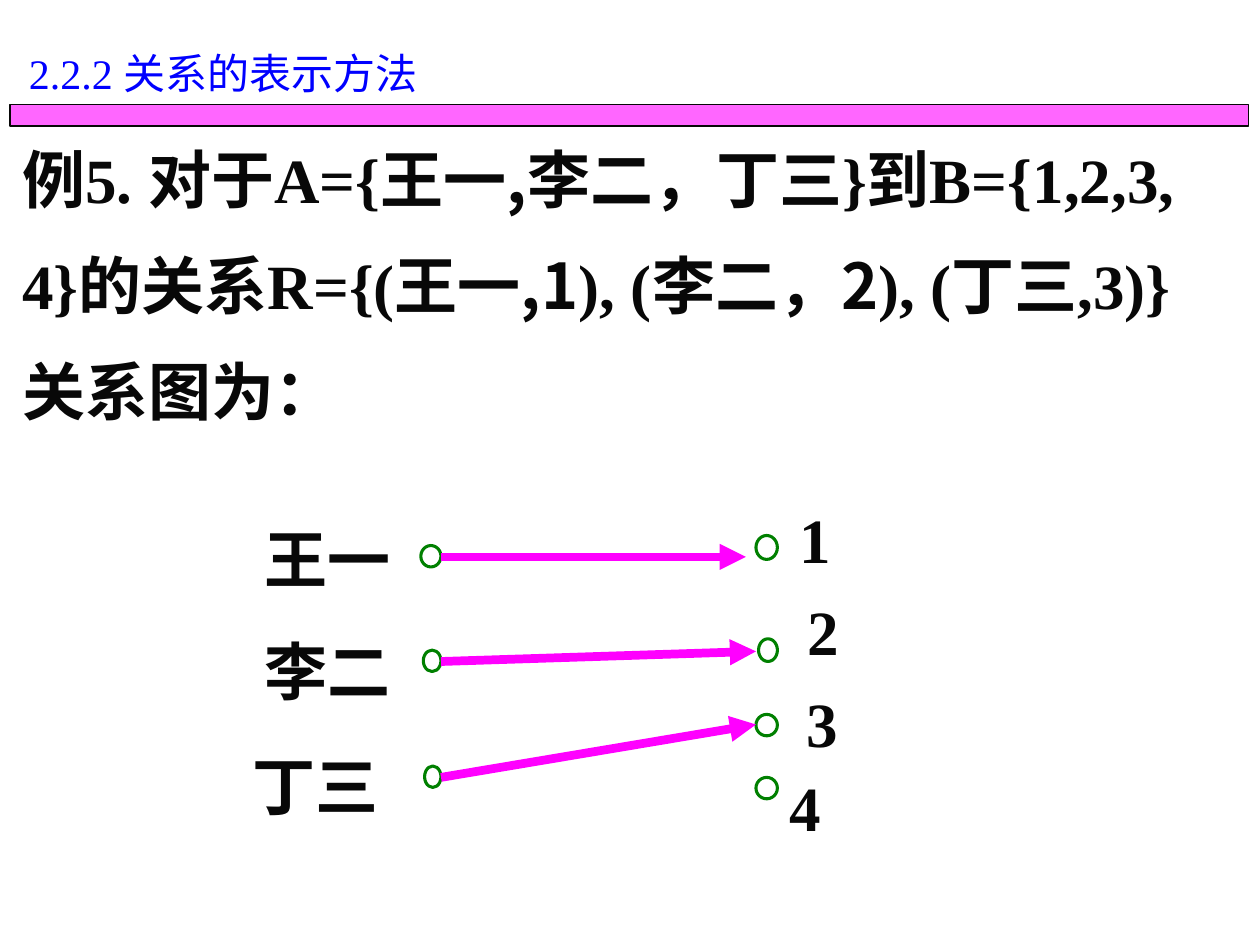
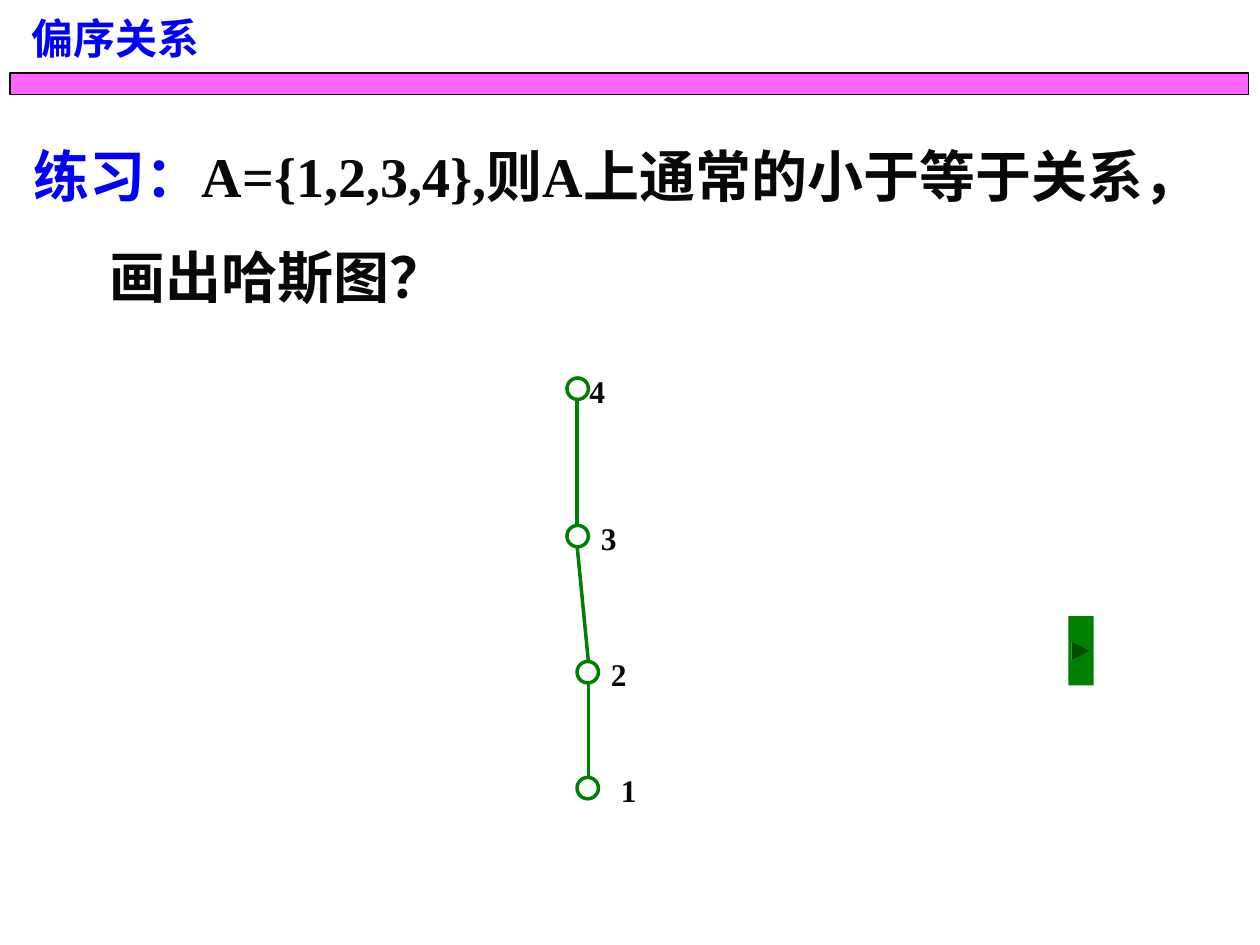
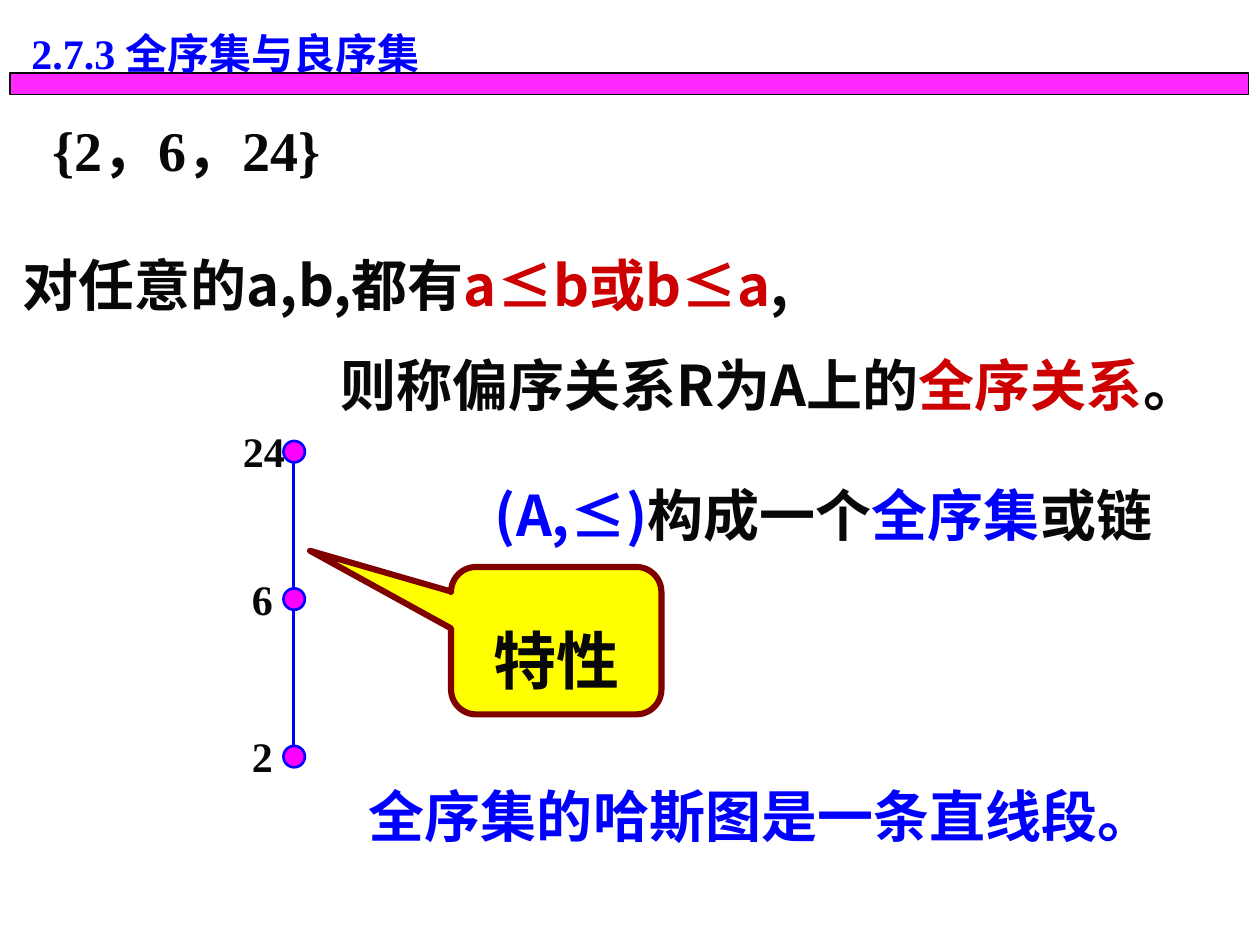
import pptx
import pptx.dml.color
import pptx.enum.shapes
import pptx.enum.text
import pptx.oxml
import pptx.oxml.ns
import pptx.util
from pptx.util import Inches

COLORS = {
    "ink": "080808",
    "blue": "0000FF",
    "magenta": "FF00FF",
    "green": "008000",
    "red": "CC0000",
    "yellow": "FFFF00",
    "maroon": "800000",
}
SANS = "Noto Sans CJK SC"
SANS_JP = "Noto Sans CJK JP"
SERIF = "Times New Roman"
ARIAL = "Arial"
PRESET = pptx.enum.shapes.MSO_SHAPE


def write_text(slide, box, text, size=36, font=SERIF, color="ink", bold=True,
               spacing=None, indents=(0,), align=None, shape=None):
    if shape is None:
        shape = slide.shapes.add_textbox(*[Inches(value) for value in box])
    frame = shape.text_frame
    frame.word_wrap = True
    paragraphs = [[(text, {})]] if isinstance(text, str) else text
    for index, runs in enumerate(paragraphs):
        paragraph = frame.paragraphs[0] if index == 0 else frame.add_paragraph()
        paragraph.alignment = align
        paragraph.line_spacing = spacing
        if indents[index]:
            paragraph._p.get_or_add_pPr().set("marL", str(Inches(indents[index])))
        for words, changes in runs:
            run = paragraph.add_run()
            run.text = words
            name = changes.get("font", font)
            run.font.name = name
            run.font.size = pptx.util.Pt(size)
            run.font.bold = bold
            run.font.color.rgb = pptx.dml.color.RGBColor.from_string(
                COLORS[changes.get("color", color)])
            east_asian = pptx.oxml.parse_xml(
                f'<a:ea {pptx.oxml.ns.nsdecls("a")} '
                f'typeface="{name if name == SANS_JP else SANS}"/>')
            run.font._element.find(pptx.oxml.ns.qn("a:latin")).addnext(east_asian)


def draw_shape(slide, preset, box, fill=None, line=None, width=1, opacity=100):
    shape = slide.shapes.add_shape(preset, *[Inches(value) for value in box])
    shape.shadow.inherit = False
    if fill:
        shape.fill.solid()
        shape.fill.fore_color.rgb = pptx.dml.color.RGBColor.from_string(COLORS[fill])
        if opacity < 100:
            color = shape.fill._xPr.find(".//" + pptx.oxml.ns.qn("a:srgbClr"))
            color.append(pptx.oxml.parse_xml(
                f'<a:alpha {pptx.oxml.ns.nsdecls("a")} val="{opacity * 1000}"/>'))
    else:
        shape.fill.background()
    if line:
        shape.line.color.rgb = pptx.dml.color.RGBColor.from_string(COLORS[line])
        shape.line.width = pptx.util.Pt(width)
    else:
        shape.line.fill.background()
    return shape


presentation = pptx.Presentation()
presentation.slide_width = Inches(10)
presentation.slide_height = Inches(7.5)
slides = []
for band_top, opacity in [(0.83, 60), (0.58, 60), (0.58, 84)]:
    slide = presentation.slides.add_slide(presentation.slide_layouts[6])
    draw_shape(slide, PRESET.RECTANGLE, (0.08, band_top, 9.83, 0.17),
               fill="magenta", line="ink", width=0.75, opacity=opacity)
    slides.append(slide)
relation_slide, hasse_slide, chain_slide = slides

titles = [
    (relation_slide, (0.13, 0.33, 3.78, 0.5),
     [("2.2.2 ", {}), ("关系的表示方法", {"font": SANS})], False, None),
    (hasse_slide, (0.15, -0.15, 2.02, 0.7), [("偏序关系", {"font": ARIAL})], True, 1.5),
    (chain_slide, (0.15, -0.03, 4.35, 0.7),
     [("2.7.3 ", {}), ("全序集与良序集", {"font": ARIAL})], True, 1.5),
]
for slide, box, runs, bold, spacing in titles:
    write_text(slide, box, [runs], size=24, color="blue", bold=bold, spacing=spacing)

sans = {"font": SANS}
write_text(relation_slide, (0.08, 0.83, 9.63, 2.62), [[
    ("例", sans), ("5. 对于A={", {}), ("王一,李二，丁三", sans), ("}", {}), ("到", sans),
    ("B={1,2,3, 4}", {}), ("的关系", sans), ("R={(", {}), ("王一,1", sans), ("), (", {}),
    ("李二，2", sans), ("), (", {}), ("丁三", sans), (",3)}", {}), ("关系图为：", sans),
]], spacing=1.4)
for name, left, top in [("王一", 2, 4.08), ("李二", 2, 4.97), ("丁三", 1.91, 5.88)]:
    write_text(relation_slide, (left, top, 2.1, 0.7), name, font=SANS)
for number, left, top in [("1", 6.25, 3.92), ("2", 6.31, 4.65),
                          ("3", 6.3, 5.38), ("4", 6.17, 6.05)]:
    write_text(relation_slide, (left, top, 0.55, 0.7), number)
for node in [(3.34, 4.33, 0.16, 0.17), (3.36, 5.16, 0.14, 0.17), (3.37, 6.08, 0.13, 0.17),
             (6, 4.25, 0.17, 0.19), (6.02, 5.07, 0.15, 0.18),
             (6, 5.67, 0.17, 0.17), (6, 6.17, 0.17, 0.17)]:
    draw_shape(relation_slide, PRESET.OVAL, node, line="green", width=1.75)

write_text(hasse_slide, (0.17, 0.81, 9.8, 1.7), [
    [("练习：", {"font": SANS, "color": "blue"}), ("A={1,2,3,4},", {}), ("则", sans),
     ("A", {}), ("上通常的小于等于关系，", sans)],
    [("画出哈斯图？", sans)],
], size=32, spacing=1.5, indents=(0, 0.6))
for number, left, top, label_left in [("4", 4.5, 3, 4.58), ("3", 4.5, 4.17, 4.67),
                                      ("2", 4.58, 5.25, 4.75), ("1", 4.58, 6.17, 4.83)]:
    draw_shape(hasse_slide, PRESET.OVAL, (left, top, 0.17, 0.17), line="green", width=2)
    write_text(hasse_slide, (label_left, top - 0.25, 0.32, 0.55), number,
               size=18, spacing=1.5)
draw_shape(hasse_slide, PRESET.ACTION_BUTTON_FORWARD_OR_NEXT, (8.48, 4.89, 0.2, 0.55),
           fill="green")

write_text(chain_slide, (0.32, 0.6, 8.1, 0.9), "{2，6，24}", size=32, spacing=1.5)
for number, top, label_left, width in [("24", 3.5, 1.83, 0.55), ("6", 4.67, 1.9, 0.36),
                                       ("2", 5.92, 1.9, 0.36)]:
    draw_shape(chain_slide, PRESET.OVAL, (2.25, top, 0.17, 0.17),
               fill="magenta", line="blue", width=1.5)
    write_text(chain_slide, (label_left, top - 0.37, width, 0.7), number,
               size=24, spacing=1.5)
callout = draw_shape(chain_slide, PRESET.ROUNDED_RECTANGULAR_CALLOUT,
                     (3.58, 4.5, 1.67, 1.17), fill="yellow", line="maroon", width=3.5)
for index, value in enumerate((-1.17, -0.61, 0.17)):
    callout.adjustments[index] = value
callout.text_frame.vertical_anchor = pptx.enum.text.MSO_ANCHOR.MIDDLE
write_text(chain_slide, None, "特性", font=ARIAL, spacing=1.5,
           align=pptx.enum.text.PP_ALIGN.CENTER, shape=callout)
blue = {"color": "blue"}
write_text(chain_slide, (0.08, 1.67, 9.92, 1.7), [
    [("对任意的a,b,都有", {}), ("a≤b或b≤a", {"color": "red"}), (",", {})],
    [("则称偏序关系R为A上的", {}), ("全序关系", {"font": SANS, "color": "red"}), ("。", {})],
], size=32, font=SANS_JP, spacing=1.5, indents=(0, 2.52))
write_text(chain_slide, (2.83, 5.89, 6.75, 0.9), "全序集的哈斯图是一条直线段。",
           size=32, font=ARIAL, color="blue", spacing=1.5)
write_text(chain_slide, (3.83, 3.5, 6.17, 0.9), [
    [("(A,≤)", blue), ("构成一个", {}), ("全序集", blue), ("或链", {})],
], size=32, font=SANS_JP, spacing=1.5)

line_groups = [
    (relation_slide, "magenta", 5, True,
     [(3.5, 4.42, 5.92, 4.42), (3.5, 5.25, 6, 5.17), (3.5, 6.17, 6, 5.75)]),
    (hasse_slide, "green", 2, False,
     [(4.58, 3.17, 4.58, 4.17), (4.58, 4.33, 4.67, 5.25), (4.67, 5.42, 4.67, 6.17)]),
    (chain_slide, "blue", 1.5, False,
     [(2.33, 3.67, 2.33, 4.67), (2.33, 4.83, 2.33, 5.92)]),
]
for slide, color, width, has_arrow, ends in line_groups:
    for end in ends:
        connector = slide.shapes.add_connector(
            pptx.enum.shapes.MSO_CONNECTOR.STRAIGHT, *[Inches(value) for value in end])
        connector.line.color.rgb = pptx.dml.color.RGBColor.from_string(COLORS[color])
        connector.line.width = pptx.util.Pt(width)
        if has_arrow:
            connector.line._get_or_add_ln().append(pptx.oxml.parse_xml(
                f'<a:tailEnd {pptx.oxml.ns.nsdecls("a")} type="triangle"/>'))
        connector._element.spPr.append(pptx.oxml.parse_xml(
            f'<a:effectLst {pptx.oxml.ns.nsdecls("a")}/>'))

presentation.save("out.pptx")
